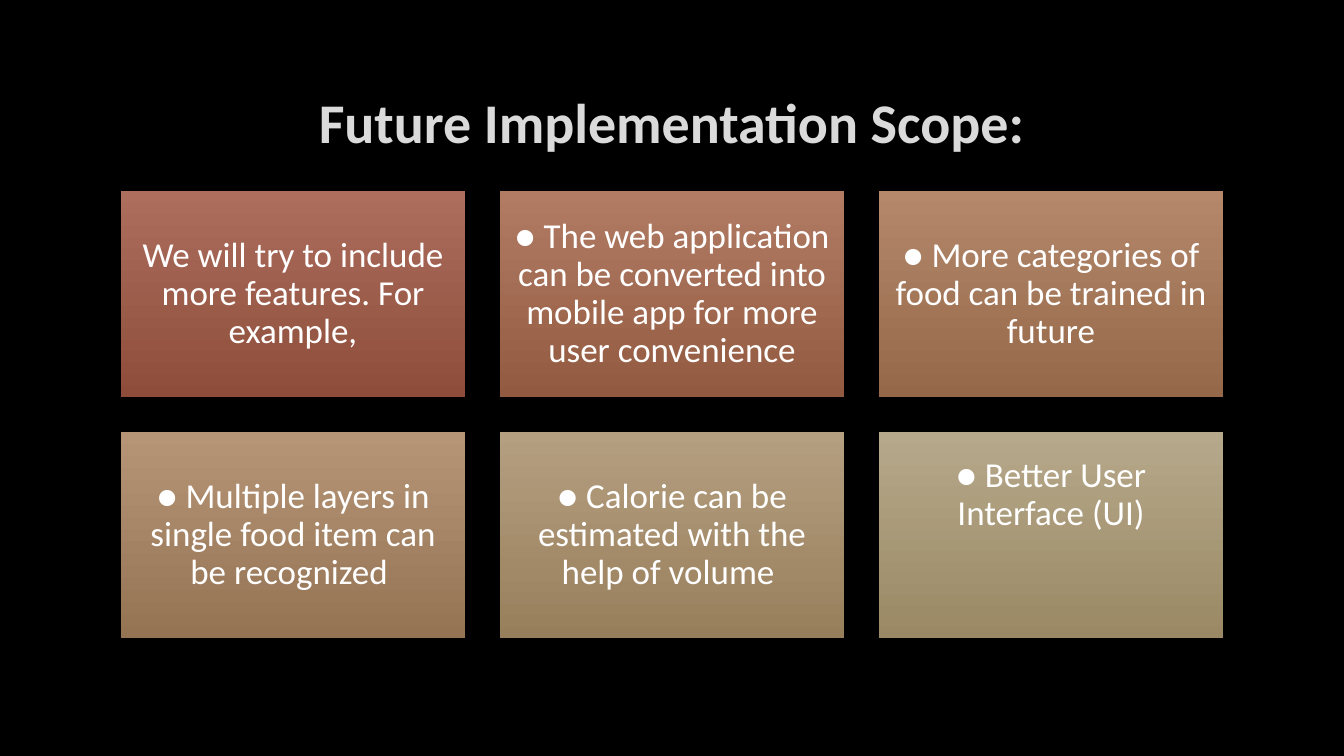
from pptx import Presentation
from pptx.dml.color import RGBColor
from pptx.enum.shapes import MSO_SHAPE
from pptx.enum.text import MSO_ANCHOR, PP_ALIGN
from pptx.util import Emu, Pt

RECTANGLE = MSO_SHAPE.RECTANGLE
CENTER = PP_ALIGN.CENTER
MIDDLE, TOP = MSO_ANCHOR.MIDDLE, MSO_ANCHOR.TOP

SLIDE_WIDTH, SLIDE_HEIGHT = 1344, 756
EMU_PER_PX = 12192000 / SLIDE_WIDTH
FONT = "Calibri"
COLORS = {"background": "000000", "title": "DADADA", "card_text": "FFFFFF"}

COLUMNS = 3
GRID_LEFT, GRID_TOP = 121, 191
CARD_WIDTH, CARD_HEIGHT, GAP = 344, 206, 35
CARD_INSET, RAISED_INSET = 10, 25

# Text, gradient top, gradient bottom, vertical anchor
CARDS = [
    ("We will try to include more features. For example,", "AD6E5E", "8E4D3A", MIDDLE),
    ("● The web application can be converted into mobile app for more user convenience",
     "B27B64", "925B41", MIDDLE),
    ("● More categories of food can be trained in future", "B5886C", "946849", MIDDLE),
    ("● Multiple layers in single food item can be recognized ", "B59576", "957454", MIDDLE),
    ("● Calorie can be estimated with the help of volume ", "B59F81", "987F5C", MIDDLE),
    ("● Better User Interface (UI)", "B6A88B", "9A8964", TOP),
]


def px(length):
    return Emu(round(length * EMU_PER_PX))


def rgb(hex_color):
    return RGBColor.from_string(hex_color)


def write_text(frame, text, *, size, color, bold=False, anchor=MIDDLE, line_spacing=None):
    frame.word_wrap = True
    frame.vertical_anchor = anchor
    paragraph = frame.paragraphs[0]
    paragraph.alignment = CENTER
    paragraph.line_spacing = line_spacing
    run = paragraph.add_run()
    run.text = text
    run.font.name = FONT
    run.font.size = Pt(size)
    run.font.bold = bold
    run.font.color.rgb = rgb(color)


def place_title(slide, text):
    title = slide.shapes.title
    title.left, title.top, title.width, title.height = map(px, (101, 68, 1141, 107))
    write_text(title.text_frame, text, size=40, color=COLORS["title"], bold=True)


def fill_downward(shape, top_color, bottom_color):
    """Fill with a vertical gradient, top colour first."""
    shape.fill.gradient()
    shape.fill.gradient_angle = 270
    for stop, color in zip(shape.fill.gradient_stops, (top_color, bottom_color)):
        stop.color.rgb = rgb(color)


def add_card(slide, index, text, top_color, bottom_color, anchor):
    row, column = divmod(index, COLUMNS)
    left = GRID_LEFT + column * (CARD_WIDTH + GAP)
    top = GRID_TOP + row * (CARD_HEIGHT + GAP)
    card = slide.shapes.add_shape(
        RECTANGLE, px(left), px(top), px(CARD_WIDTH), px(CARD_HEIGHT))
    card.shadow.inherit = False
    card.line.fill.background()
    fill_downward(card, top_color, bottom_color)

    frame = card.text_frame
    frame.margin_left = frame.margin_right = frame.margin_bottom = px(CARD_INSET)
    frame.margin_top = px(RAISED_INSET if anchor == TOP else CARD_INSET)
    write_text(frame, text, size=25, color=COLORS["card_text"],
               anchor=anchor, line_spacing=0.9)


def main():
    deck = Presentation()
    deck.slide_width, deck.slide_height = px(SLIDE_WIDTH), px(SLIDE_HEIGHT)
    slide = deck.slides.add_slide(deck.slide_layouts.get_by_name("Title Only"))
    slide.background.fill.solid()
    slide.background.fill.fore_color.rgb = rgb(COLORS["background"])

    place_title(slide, "Future Implementation Scope:")
    for index, card in enumerate(CARDS):
        add_card(slide, index, *card)
    deck.save("out.pptx")


if __name__ == "__main__":
    main()
